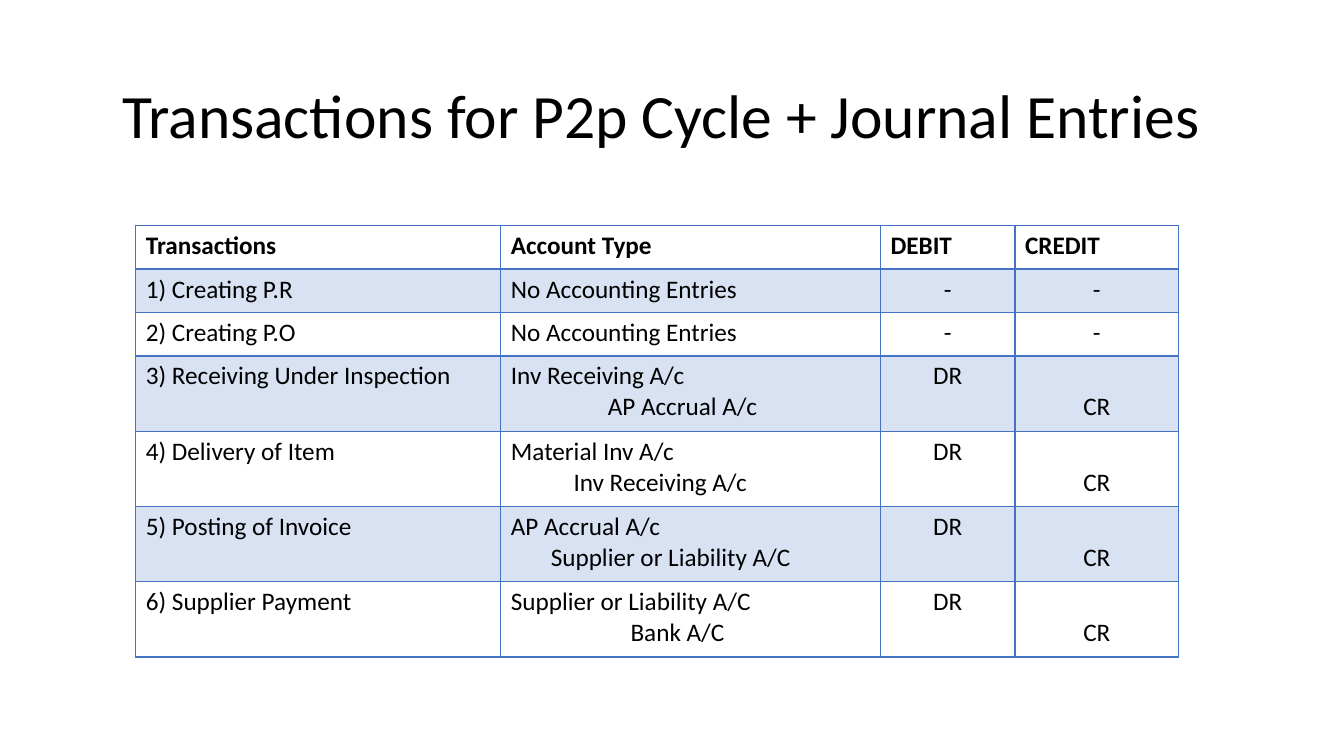
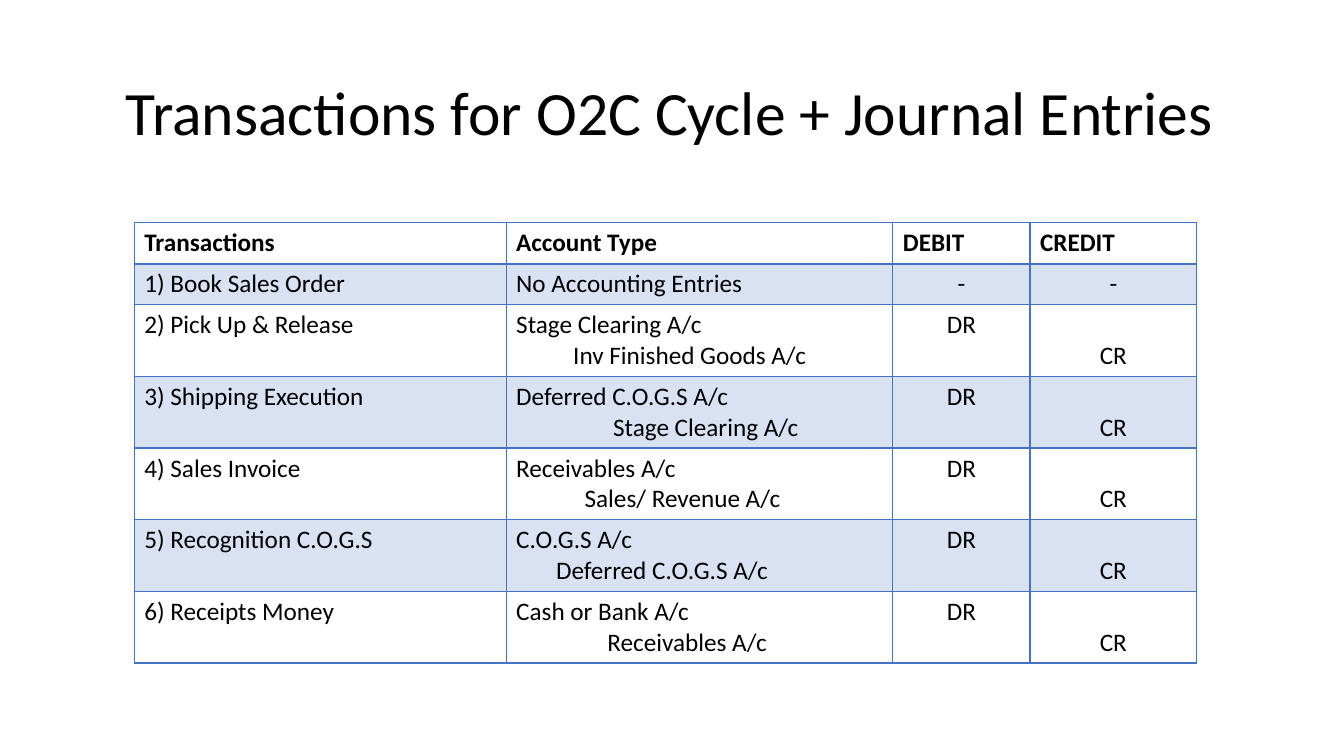
import pptx
import pptx.util
import pptx.dml.color
import pptx.enum.text
import pptx.oxml
import pptx.oxml.ns

Pt = pptx.util.Pt
ALIGN = pptx.enum.text.PP_ALIGN
ANCHOR = pptx.enum.text.MSO_ANCHOR

# Shared look
INK, BLUE = "000000", "4472C4"
FONT = "Calibri"
LINE, INSET = 22, 3.6
SPACE = 4.07  # indent step
SHARES = (0.35, 0.364, 0.129, 0.157)
HEADS = ("Transactions", "Account Type", "DEBIT", "CREDIT")

# Name, debit account, credit account, credit indent in steps
BUYING = (
    ("1) Creating P.R",),
    ("2) Creating P.O",),
    ("3) Receiving Under Inspection", "Inv Receiving A/c", "AP Accrual A/c", 17),
    ("4) Delivery of Item", "Material Inv A/c", "Inv Receiving A/c", 11),
    ("5) Posting of Invoice", "AP Accrual A/c", "Supplier or Liability A/C", 7),
    ("6) Supplier Payment", "Supplier or Liability A/C", "Bank A/C", 21),
)
SELLING = (
    ("1) Book Sales Order",),
    ("2) Pick Up & Release", "Stage Clearing A/c", "Inv Finished Goods A/c", 10),
    ("3) Shipping Execution", "Deferred C.O.G.S A/c", "Stage Clearing A/c", 17),
    ("4) Sales Invoice", "Receivables A/c", "Sales/ Revenue A/c", 12),
    ("5) Recognition C.O.G.S", "C.O.G.S A/c", "Deferred C.O.G.S A/c", 7),
    ("6) Receipts Money", "Cash or Bank A/c", "Receivables A/c", 16),
)


def color(code):
    return pptx.dml.color.RGBColor.from_string(code)


def apply(item, values):
    for name, value in values.items():
        setattr(item, name, value)


def write(para, text, size, bold=False, align=ALIGN.LEFT):
    para.alignment = align
    run = para.add_run()
    run.text = text
    apply(run.font, {"name": FONT, "size": Pt(size), "bold": bold})
    run.font.color.rgb = color(INK)


def title(slide, text, box):
    shape = slide.shapes.title
    apply(shape, dict(zip(("left", "top", "width", "height"), map(Pt, box))))
    frame = shape.text_frame
    # The deep bottom inset lifts the single line
    apply(frame, {
        "word_wrap": True,
        "auto_size": pptx.enum.text.MSO_AUTO_SIZE.NONE,
        "vertical_anchor": ANCHOR.MIDDLE,
        "margin_bottom": Pt(52),
    })
    para = frame.paragraphs[0]
    para.line_spacing = 0.9
    write(para, text, 44)


def border(cell, top, bottom):
    props = cell._tc.get_or_add_tcPr()
    sides = {"lnL": 1, "lnR": 1, "lnT": top, "lnB": bottom}
    for spot, (side, width) in enumerate(sides.items()):
        props.insert(spot, pptx.oxml.parse_xml(
            f'<a:{side} {pptx.oxml.ns.nsdecls("a")} w="{Pt(width)}">'
            f'<a:solidFill><a:srgbClr val="{BLUE}"/></a:solidFill></a:{side}>'))


def shade(cell, tinted):
    if not tinted:
        cell.fill.background()
        return
    cell.fill.solid()
    cell.fill.fore_color.rgb = color(BLUE)
    tone = cell._tc.tcPr.find(".//" + pptx.oxml.ns.qn("a:srgbClr"))
    tone.append(pptx.oxml.parse_xml(
        f'<a:alpha {pptx.oxml.ns.nsdecls("a")} val="20000"/>'))


def entry(cells, name, debit=None, credit=None, steps=0):
    paired = debit is not None
    texts = (name, debit or "No Accounting Entries",
             "DR" if paired else "-", "CR" if paired else "-")
    for col, (cell, text) in enumerate(zip(cells, texts)):
        align = ALIGN.CENTER if col > 1 else ALIGN.LEFT
        write(cell.text_frame.paragraphs[0], text, 18, align=align)
    if paired:
        para = cells[1].text_frame.add_paragraph()
        write(para, credit, 18)
        para._p.get_or_add_pPr().set("marL", str(Pt(steps * SPACE)))
        # The credit mark sits on the second line
        cells[3].margin_top = Pt(INSET + LINE)


def ledger(slide, entries, box, low, high):
    left, top, width = box
    heights = [low] + [high if len(item) > 1 else low for item in entries]
    table = slide.shapes.add_table(
        len(heights), len(HEADS), Pt(left), Pt(top), Pt(width),
        Pt(sum(heights))).table
    apply(table, {"first_row": False, "horz_banding": False})
    for col, share in zip(table.columns, SHARES):
        col.width = Pt(width * share)
    for index, (row, height) in enumerate(zip(table.rows, heights)):
        row.height = Pt(height)
        cells = list(row.cells)
        for cell in cells:
            shade(cell, index % 2 == 1)
            border(cell, 2 if index == 1 else 1, 2 if index == 0 else 1)
        if index:
            entry(cells, *entries[index - 1])
        else:
            for cell, text in zip(cells, HEADS):
                write(cell.text_frame.paragraphs[0], text, 18, bold=True)


def main():
    deck = pptx.Presentation()
    apply(deck, {"slide_width": Pt(960), "slide_height": Pt(540)})
    pages = (
        ("P2p", (80, 57, 828, 104.4), BUYING, (97, 161.3, 745), 31, 53.8),
        ("O2C", (82.8, 54.7, 828, 104.4), SELLING, (95.9, 159.2, 759), 29.2, 51.2),
    )
    for cycle, head, entries, box, low, high in pages:
        slide = deck.slides.add_slide(deck.slide_layouts[5])
        title(slide, f"Transactions for {cycle} Cycle + Journal Entries", head)
        ledger(slide, entries, box, low, high)
    deck.save("out.pptx")


if __name__ == "__main__":
    main()
